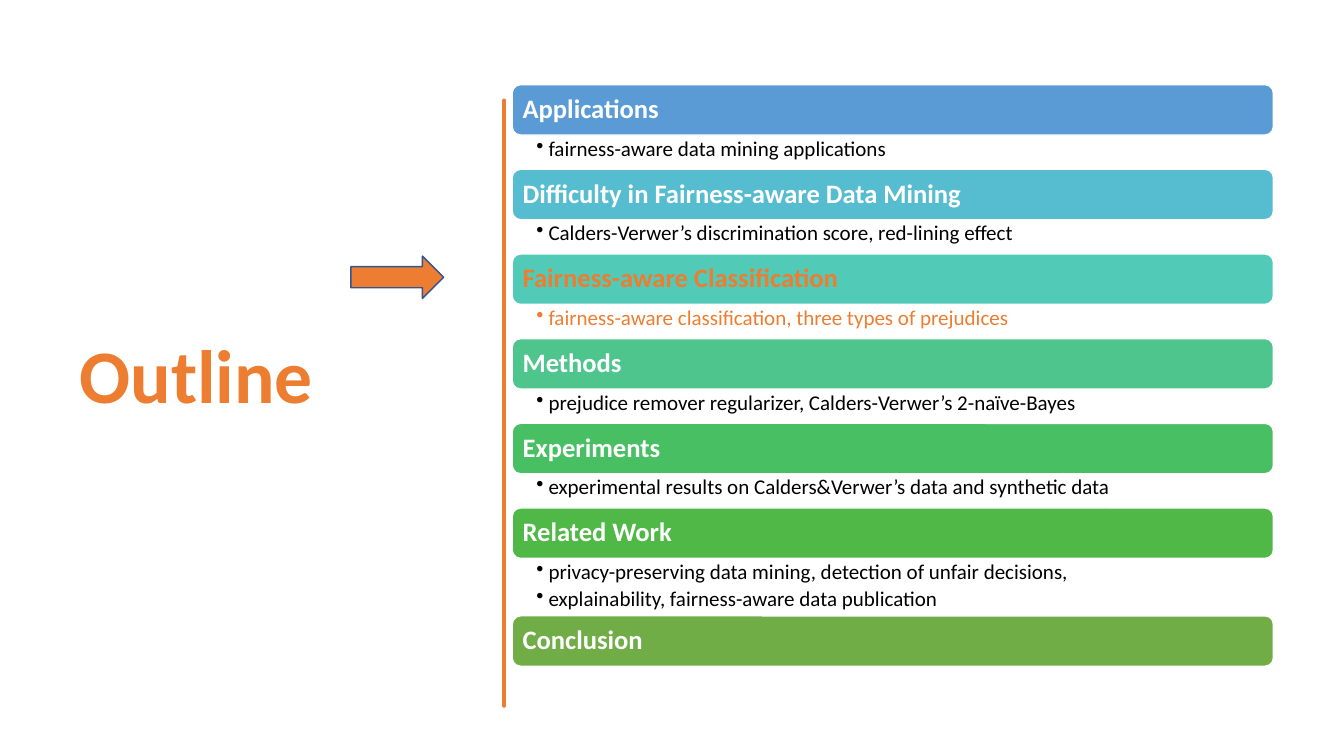
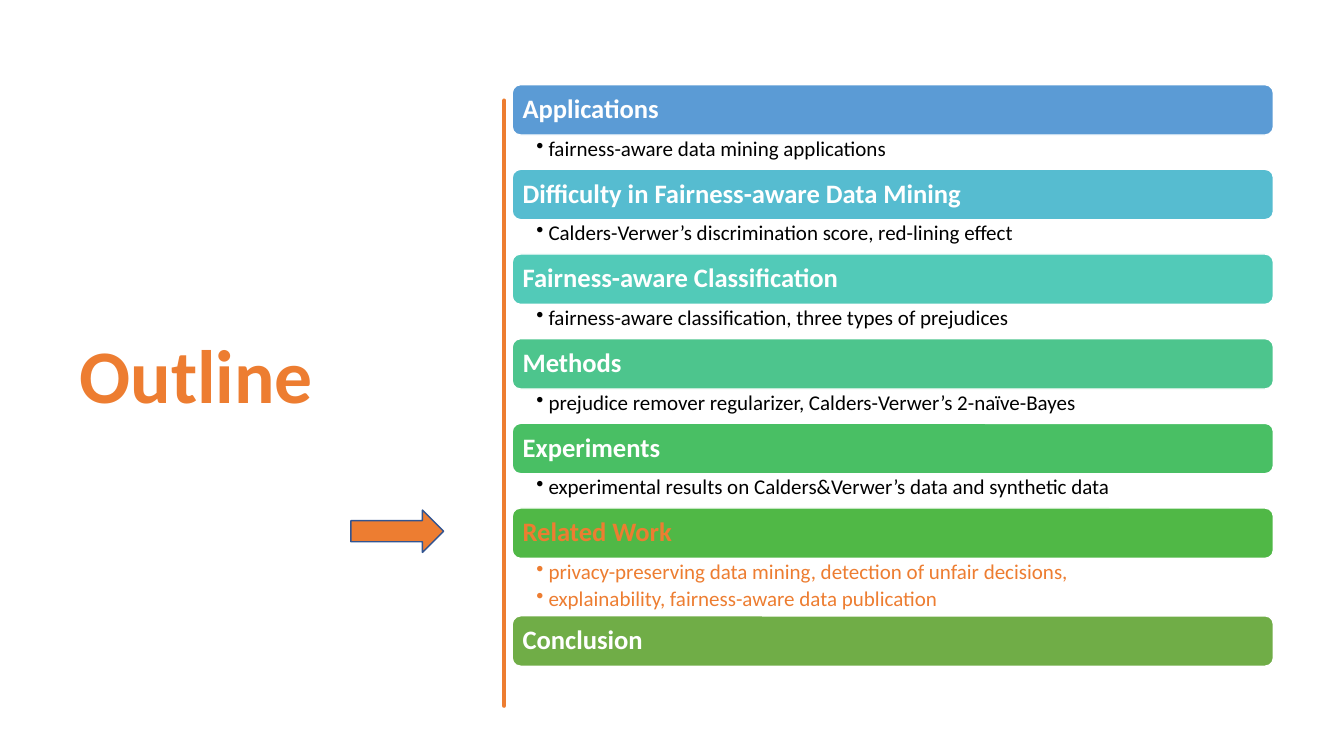
from dataclasses import dataclass

from lxml import etree
from pptx import Presentation
from pptx.dml.color import RGBColor
from pptx.enum.shapes import MSO_SHAPE
from pptx.enum.text import MSO_ANCHOR, PP_ALIGN
from pptx.oxml.ns import qn
from pptx.util import Inches, Pt

ROUND = MSO_SHAPE.ROUNDED_RECTANGLE
ARROW = MSO_SHAPE.RIGHT_ARROW
MIDDLE, TOP = MSO_ANCHOR.MIDDLE, MSO_ANCHOR.TOP
LEFT = PP_ALIGN.LEFT


@dataclass(frozen=True)
class Theme:
    font: str = "Calibri"
    accent: str = "ED7D31"
    edge: str = "325491"
    white: str = "FFFFFF"
    black: str = "000000"
    title: int = 54
    head: int = 19
    body: int = 15


TOPICS = [
    ("Applications", "5B9BD5", ["fairness-aware data mining applications"]),
    ("Difficulty in Fairness-aware Data Mining", "56BCD0",
     ["Calders-Verwer’s discrimination score, red-lining effect"]),
    ("Fairness-aware Classification", "52CAB8",
     ["fairness-aware classification, three types of prejudices"]),
    ("Methods", "4DC58D",
     ["prejudice remover regularizer, Calders-Verwer’s 2-naïve-Bayes"]),
    ("Experiments", "49BF64",
     ["experimental results on Calders&Verwer’s data and synthetic data"]),
    ("Related Work", "50B846",
     ["privacy-preserving data mining, detection of unfair decisions,",
      "explainability, fairness-aware data publication"]),
    ("Conclusion", "70AD47", []),
]
ACTIVE = ["Fairness-aware Classification", "Related Work"]

X, Y, WIDTH, BAR = 5.08, 0.84, 7.55, 0.5
NOTE, EXTRA = 0.34, 0.23

START = (4.75, 0.84)
CURVES = [
    (4.77, 1.02, 4.77, 1.19, 4.75, 1.46),
    (4.73, 1.73, 4.76, 1.95, 4.75, 2.26),
    (4.74, 2.57, 4.75, 2.62, 4.75, 2.94),
    (4.74, 3.25, 4.77, 3.42, 4.75, 3.56),
    (4.73, 3.7, 4.79, 4.14, 4.75, 4.36),
    (4.71, 4.57, 4.72, 4.84, 4.75, 5.1),
    (4.77, 5.36, 4.77, 5.64, 4.75, 5.84),
    (4.73, 6.03, 4.76, 6.5, 4.75, 6.76),
    (4.74, 6.76, 4.73, 6.76, 4.73, 6.76),
    (4.74, 6.46, 4.71, 6.44, 4.73, 6.13),
    (4.74, 5.83, 4.74, 5.7, 4.73, 5.57),
    (4.72, 5.44, 4.72, 4.95, 4.73, 4.77),
    (4.73, 4.59, 4.71, 4.45, 4.73, 4.15),
    (4.74, 3.86, 4.72, 3.73, 4.73, 3.35),
    (4.74, 2.98, 4.72, 2.81, 4.73, 2.5),
    (4.74, 2.18, 4.75, 2, 4.73, 1.81),
    (4.7, 1.63, 4.77, 1.04, 4.73, 0.84),
]


def trace(start, curves, steps=6):
    points = []
    x, y = start
    for ax, ay, bx, by, cx, cy in curves:
        for step in range(1, steps + 1):
            t = step / steps
            u = 1 - t
            points.append(tuple(
                u**3 * p + 3 * u * u * t * a + 3 * u * t * t * b + t**3 * c
                for p, a, b, c in ((x, ax, bx, cx), (y, ay, by, cy))))
        x, y = cx, cy
    return points


class Deck:
    def __init__(self, theme):
        self.theme = theme
        self.prs = Presentation()
        self.prs.slide_width = Inches(13.33)
        self.prs.slide_height = Inches(7.5)
        self.slide = None

    def add(self):
        self.slide = self.prs.slides.add_slide(self.prs.slide_layouts[6])

    def paint(self, shape, fill, line, width):
        shape.shadow.inherit = False
        shape.fill.solid()
        shape.fill.fore_color.rgb = RGBColor.from_string(fill)
        shape.line.color.rgb = RGBColor.from_string(line)
        shape.line.width = Pt(width)

    def shape(self, kind, box, fill, line):
        shape = self.slide.shapes.add_shape(kind, *map(Inches, box))
        self.paint(shape, fill, line, 1)
        return shape

    def label(self, shape, lines, size, color, bold=False, anchor=MIDDLE,
              pad=(0.1, 0.05, 0.1, 0.05)):
        frame = shape.text_frame
        frame.word_wrap = True
        frame.vertical_anchor = anchor
        (frame.margin_left, frame.margin_top,
         frame.margin_right, frame.margin_bottom) = map(Inches, pad)
        frame.text = "\n".join(lines)
        for para in frame.paragraphs:
            para.alignment = LEFT
            para.line_spacing = 0.9
            para.font.name = self.theme.font
            para.font.size = Pt(size)
            para.font.bold = bold
            para.font.color.rgb = RGBColor.from_string(color)
        return frame.paragraphs

    def text(self, box, lines, size, color, **style):
        shape = self.slide.shapes.add_textbox(*map(Inches, box))
        return self.label(shape, lines, size, color, **style)

    def title(self, text):
        self.text((0.69, 0.7, 3.74, 6.11), [text], self.theme.title,
                  self.theme.accent, bold=True)

    def rule(self):
        build = self.slide.shapes.build_freeform(*START, scale=Inches(1))
        build.add_line_segments(trace(START, CURVES), close=True)
        self.paint(build.convert_to_shape(), self.theme.accent,
                   self.theme.accent, 3.25)

    def bar(self, y, text, fill, color):
        shape = self.shape(ROUND, (X, y, WIDTH, BAR), fill, self.theme.white)
        self.label(shape, [text], self.theme.head, color, bold=True,
                   pad=(0.08,) * 4)

    def notes(self, y, high, lines, color):
        paras = self.text((X, y, WIDTH, high), lines, self.theme.body, color,
                          anchor=TOP, pad=(0.24, 0.03, 0.15, 0.03))
        for para in paras:
            para.space_after = Pt(3)
            props = para._p.get_or_add_pPr()
            props.set("marL", str(Inches(0.12)))
            props.set("indent", str(-Inches(0.12)))
            mark = etree.Element(qn("a:buChar"), char="•")
            props.insert_element_before(
                mark, "a:tabLst", "a:defRPr", "a:extLst")

    def arrow(self, y):
        self.shape(ARROW, (3.48, y, 0.92, 0.42), self.theme.accent,
                   self.theme.edge)

    def outline(self, active):
        self.add()
        self.title("Outline")
        self.rule()
        y = Y
        for name, fill, lines in TOPICS:
            now = name == active
            self.bar(y, name, fill,
                     self.theme.accent if now else self.theme.white)
            if now:
                self.arrow(y + 0.02)
            y += BAR
            if lines:
                high = NOTE + EXTRA * (len(lines) - 1)
                self.notes(y, high, lines,
                           self.theme.accent if now else self.theme.black)
                y += high


def main():
    deck = Deck(Theme())
    for name in ACTIVE:
        deck.outline(name)
    deck.prs.save("out.pptx")


if __name__ == "__main__":
    main()
